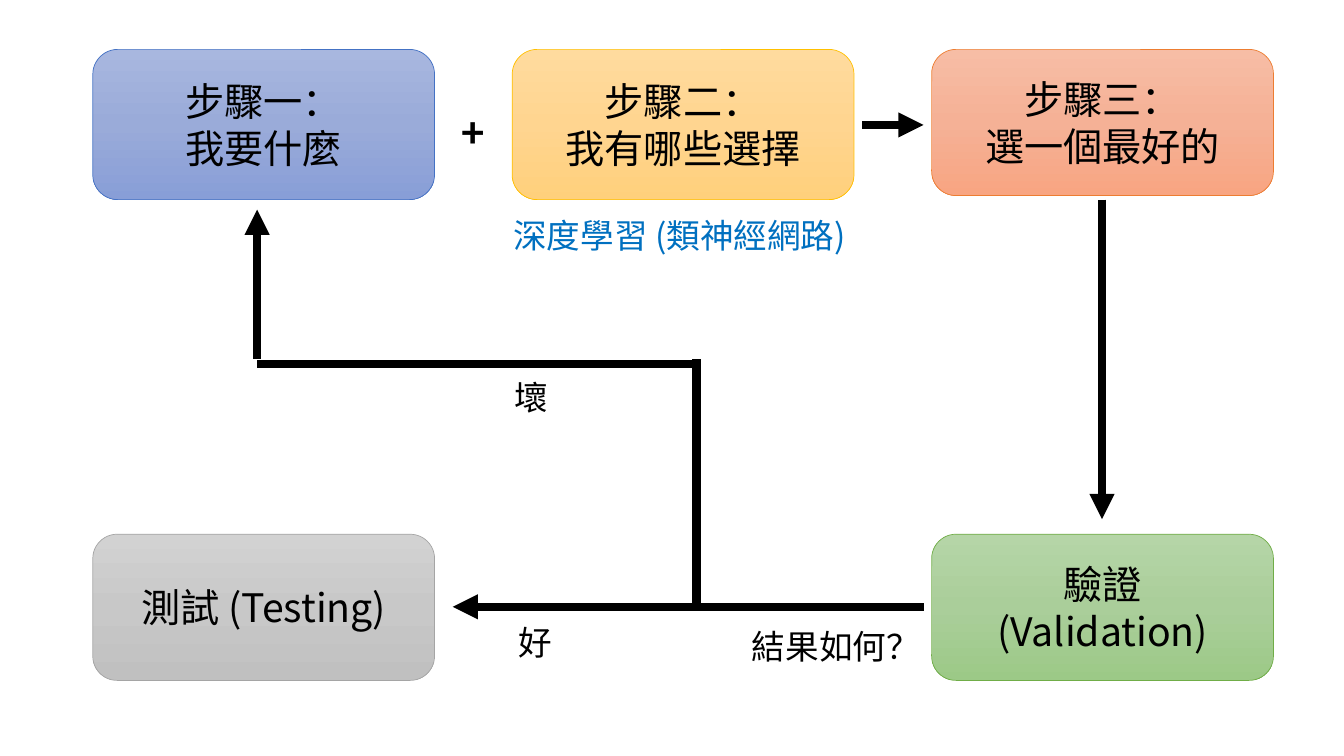
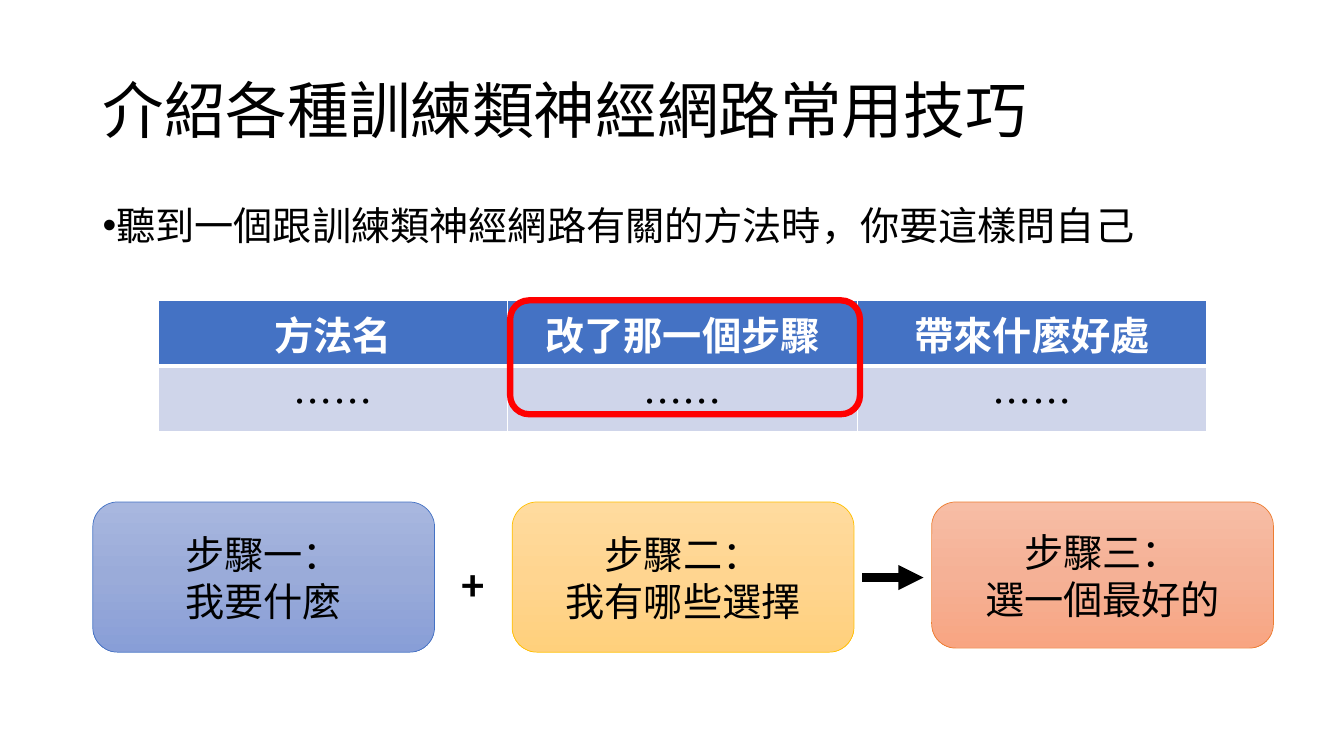
"""Build two slides on the steps of training a neural network."""
import copy

import pptx
import pptx.dml.color
import pptx.enum.shapes
import pptx.enum.text
import pptx.oxml
import pptx.oxml.ns
import pptx.util
from pptx.util import Inches

RGB = pptx.dml.color.RGBColor
ALIGN = pptx.enum.text.PP_ALIGN
ANCHOR = pptx.enum.text.MSO_ANCHOR
ROUNDED = pptx.enum.shapes.MSO_SHAPE.ROUNDED_RECTANGLE
STRAIGHT = pptx.enum.shapes.MSO_CONNECTOR.STRAIGHT

BLACK = RGB(0x00, 0x00, 0x00)
WHITE = RGB(0xFF, 0xFF, 0xFF)
RED = RGB(0xFF, 0x00, 0x00)
NOTE_BLUE = RGB(0x00, 0x70, 0xC0)
HEADER_BLUE = RGB(0x44, 0x72, 0xC4)
ROW_BLUE = RGB(0xCF, 0xD5, 0xEA)
BLUE = (HEADER_BLUE, RGB(0xA8, 0xB7, 0xDF), RGB(0x9A, 0xAB, 0xD9), RGB(0x88, 0x9E, 0xD7))
GOLD = (RGB(0xFF, 0xC0, 0x00), RGB(0xFF, 0xDB, 0x9E), RGB(0xFF, 0xD5, 0x90), RGB(0xFF, 0xD0, 0x7C))
ORANGE = (RGB(0xED, 0x7D, 0x31), RGB(0xF7, 0xBD, 0xA5), RGB(0xF5, 0xB1, 0x96), RGB(0xF8, 0xA5, 0x82))
GRAY = (RGB(0xA5, 0xA5, 0xA5), RGB(0xD2, 0xD2, 0xD2), RGB(0xC8, 0xC8, 0xC8), RGB(0xC0, 0xC0, 0xC0))
GREEN = (RGB(0x70, 0xAD, 0x47), RGB(0xB5, 0xD5, 0xA7), RGB(0xAA, 0xCE, 0x9A), RGB(0x9C, 0xC9, 0x87))

CJK_FONT = "Noto Sans CJK SC"
LATIN_FONT = "Calibri"
BOX_LEFT, BOX_PITCH, BOX_WIDTH = 0.92, 4.16, 3.39
TALL, SHORT = 1.49, 1.45
STEPS = (
    (("步驟一：", "我要什麼"), BLUE, TALL),
    (("步驟二：", "我有哪些選擇"), GOLD, TALL),
    (("步驟三：", "選一個最好的"), ORANGE, SHORT),
)
TABLE_ROWS = (("方法名", "改了那一個步驟", "帶來什麼好處"), ("……",) * 3)


def assign(target, values):
    """Set each named value on the target."""
    for name, value in values.items():
        setattr(target, name, value)


def add_xml(parent, markup):
    """Append a drawing element to the parent."""
    tag, _, rest = markup.partition(" ")
    space = pptx.oxml.ns.nsdecls("a")
    parent.append(pptx.oxml.parse_xml(f"<a:{tag} {space} {rest}/>"))


def write(frame, lines, size, color=BLACK, font=CJK_FONT, bold=False, **paragraph):
    """Write lines as paragraphs with one format."""
    for index, line in enumerate(lines):
        para = frame.add_paragraph() if index else frame.paragraphs[0]
        assign(para, paragraph)
        span = para.add_run()
        span.text = line
        assign(span.font, {"size": pptx.util.Pt(size), "name": font, "bold": bold})
        span.font.color.rgb = color
        add_xml(span.font._element, f'ea typeface="{font}"')


def add_label(page, place, text, size=24, anchor=ANCHOR.TOP, **style):
    """Add a wrapping text box and return its frame."""
    box = page.shapes.add_textbox(*map(Inches, place))
    frame = box.text_frame
    assign(frame, {"word_wrap": True, "vertical_anchor": anchor})
    write(frame, [text], size, **style)
    return frame


def add_rounded(page, place, color, width):
    """Add an outlined rounded rectangle without a shadow."""
    shape = page.shapes.add_shape(ROUNDED, *map(Inches, place))
    shape.shadow.inherit = False
    shape.line.color.rgb = color
    shape.line.width = pptx.util.Pt(width)
    return shape


def add_stage(page, column, top, height, lines, palette):
    """Add a gradient box for one stage of the process."""
    left = BOX_LEFT + column * BOX_PITCH
    shape = add_rounded(page, (left, top, BOX_WIDTH, height), palette[0], 0.5)
    shape.fill.gradient()
    shape.fill.gradient_angle = 270
    first = shape._element.spPr.find(".//" + pptx.oxml.ns.qn("a:gs"))
    first.addnext(copy.deepcopy(first))
    for index, stop in enumerate(shape.fill.gradient_stops):
        stop.position = index / 2
        stop.color.rgb = palette[index + 1]
    assign(shape.text_frame, {"word_wrap": True, "vertical_anchor": ANCHOR.MIDDLE})
    write(shape.text_frame, lines, 28, alignment=ALIGN.CENTER)


def add_line(page, start, end, arrow=True):
    """Add a thick black line, with an arrowhead if wanted."""
    line = page.shapes.add_connector(STRAIGHT, *map(Inches, start + end))
    line.line.color.rgb = BLACK
    line.line.width = pptx.util.Pt(6)
    if arrow:
        add_xml(line.line._get_or_add_ln(), 'tailEnd type="triangle"')
    add_xml(line._element.spPr, "effectLst")


def add_steps(page, top):
    """Add the row of three steps with its plus sign and arrow."""
    for column, (lines, palette, height) in enumerate(STEPS):
        add_stage(page, column, top, height, lines, palette)
    add_label(page, (4.23, top + 0.48, 0.92, 0.64), "+", 32,
              font=LATIN_FONT, bold=True, alignment=ALIGN.CENTER)
    add_line(page, (8.55, top + 0.75), (9.16, top + 0.75))


def add_borders(cell, widths):
    """Give the cell white borders of the given widths."""
    properties = cell._tc.get_or_add_tcPr()
    for side, width in widths.items():
        properties.append(pptx.oxml.parse_xml(
            f'<a:ln{side} {pptx.oxml.ns.nsdecls("a")} w="{pptx.util.Pt(width)}">'
            f'<a:solidFill><a:srgbClr val="{WHITE}"/></a:solidFill></a:ln{side}>'))


def add_method_table(page):
    """Add the table of questions to ask about a method."""
    place = (1.57, 2.98, 10.4, 1.3)
    table = page.shapes.add_table(2, 3, *map(Inches, place)).table
    for row, texts in enumerate(TABLE_ROWS):
        header = row == 0
        for column, text in enumerate(texts):
            cell = table.cell(row, column)
            top, bottom = (1, 3) if header else (3, 1)
            add_borders(cell, {"L": 1, "R": 1, "T": top, "B": bottom})
            cell.fill.solid()
            cell.fill.fore_color.rgb = HEADER_BLUE if header else ROW_BLUE
            write(cell.text_frame, [text], 28, WHITE if header else BLACK,
                  bold=header, alignment=ALIGN.CENTER)


def build_process(page):
    """Build the training process slide."""
    add_steps(page, 0.49)
    add_stage(page, 0, 5.3, SHORT, ["測試 (Testing)"], GRAY)
    add_stage(page, 2, 5.3, SHORT, ["驗證", "(Validation)"], GREEN)
    add_line(page, (9.16, 6.02), (4.49, 6.02))
    add_line(page, (10.93, 1.98), (10.93, 5.15))
    add_line(page, (6.91, 6.02), (6.91, 3.56), arrow=False)
    add_line(page, (6.91, 3.61), (2.55, 3.61), arrow=False)
    add_line(page, (2.55, 3.56), (2.55, 2.08))
    for left, top, text in ((7.36, 6.16, "結果如何？"), (5.04, 6.12, "好"), (5, 3.69, "壞")):
        add_label(page, (left, top, 1.64, 0.5), text)
    add_label(page, (4.45, 2.08, 4.58, 0.5), "深度學習 (類神經網路)",
              color=NOTE_BLUE, alignment=ALIGN.CENTER)


def build_techniques(page):
    """Build the training techniques slide."""
    add_label(page, (0.92, 0.4, 11.5, 1.45), "介紹各種訓練類神經網路常用技巧", 44,
              ANCHOR.MIDDLE, line_spacing=0.9)
    body = add_label(page, (0.92, 2, 11.5, 0.7),
                     "聽到一個跟訓練類神經網路有關的方法時，你要這樣問自己", 28, line_spacing=0.9)
    properties = body.paragraphs[0]._p.get_or_add_pPr()
    indent = Inches(0.25)
    assign(properties, {"marL": indent, "indent": -indent})
    add_xml(properties, 'buFont typeface="Arial"')
    add_xml(properties, 'buChar char="•"')
    add_method_table(page)
    add_steps(page, 4.98)
    ring = add_rounded(page, (5.06, 2.98, 3.47, 1.13), RED, 4.5)
    ring.fill.background()


def main():
    """Build and save the deck."""
    deck = pptx.Presentation()
    assign(deck, {"slide_width": Inches(13.33), "slide_height": Inches(7.5)})
    for build in (build_process, build_techniques):
        build(deck.slides.add_slide(deck.slide_layouts[6]))
    deck.save("out.pptx")


if __name__ == "__main__":
    main()
